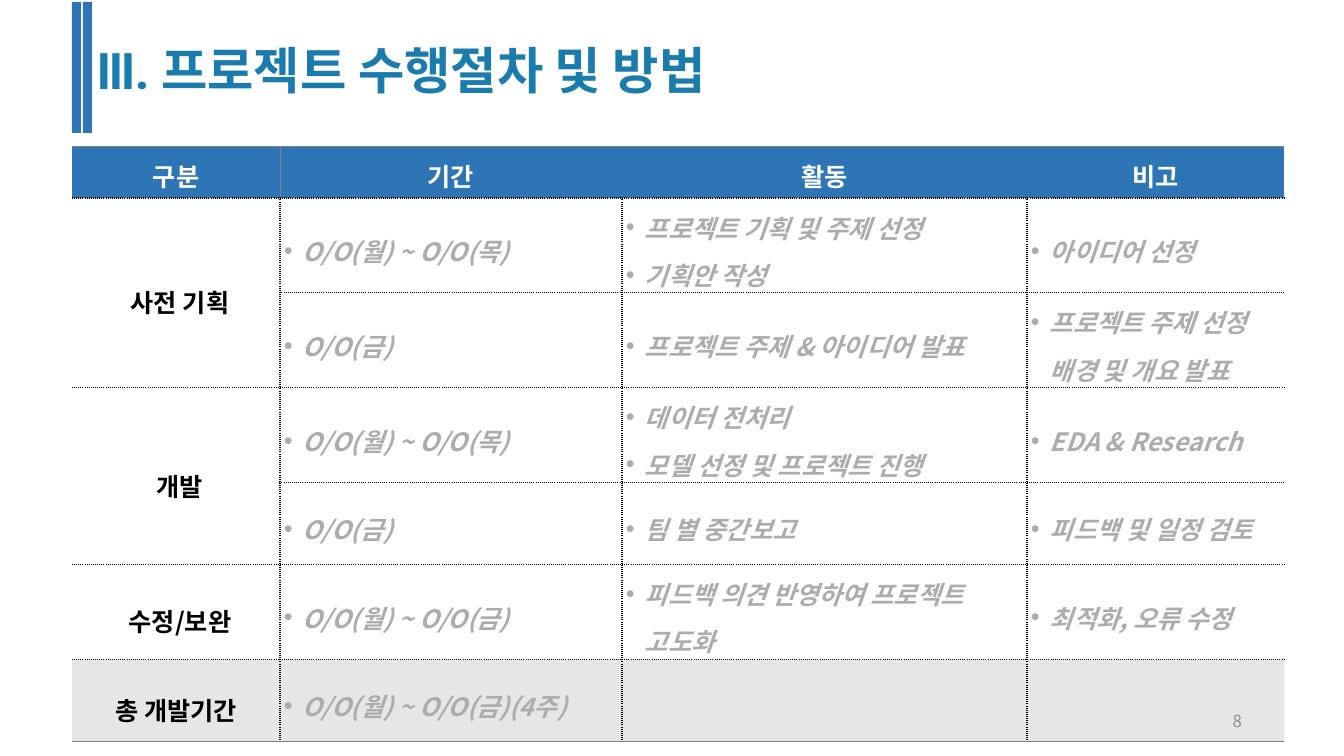
import dataclasses
import pptx
import pptx.util
import pptx.dml.color
import pptx.enum.shapes
import pptx.enum.text
import pptx.oxml.ns
import lxml.etree

ALIGN = pptx.enum.text.PP_ALIGN
ANCHOR = pptx.enum.text.MSO_ANCHOR


@dataclasses.dataclass(frozen=True)
class Theme:
    """Colours, fonts and type sizes of the slide."""
    blue: str = "2E75B6"
    title: str = "1A7BAE"
    white: str = "FFFFFF"
    black: str = "000000"
    sample: str = "AFABAB"
    total: str = "E7E6E6"
    rule: str = "808080"
    number: str = "8C8C8C"
    font: str = "Noto Sans CJK KR"
    title_font: str = "Roboto Condensed"
    title_size: int = 36
    table_size: int = 18
    number_size: int = 12


THEME = Theme()
HEADINGS = ["구분", "기간", "활동", "비고"]
STAGES = [
    ("사전 기획", [
        (["O/O(월) ~ O/O(목)"], ["프로젝트 기획 및 주제 선정", "기획안 작성"], ["아이디어 선정"]),
        (["O/O(금)"], ["프로젝트 주제 & 아이디어 발표"], ["프로젝트 주제 선정 배경 및 개요 발표"])]),
    ("개발", [
        (["O/O(월) ~ O/O(목)"], ["데이터 전처리", "모델 선정 및 프로젝트 진행"], ["EDA & Research"]),
        (["O/O(금)"], ["팀 별 중간보고"], ["피드백 및 일정 검토"])]),
    ("수정/보완", [
        (["O/O(월) ~ O/O(금)"], ["피드백 의견 반영하여 프로젝트 고도화"], ["최적화, 오류 수정"])]),
    ("총 개발기간", [(["O/O(월) ~ O/O(금)(4주)"], [], [])]),
]
COLUMNS = [208, 342, 405, 257]
HEADER_HEIGHT = 52
ROW_HEIGHT = 82


def px(length):
    """Turn pixels into EMU."""
    return pptx.util.Emu(round(length * 914400 / 100.8))


def color(value):
    """Turn a hex string into a colour."""
    return pptx.dml.color.RGBColor.from_string(value)


def child(parent, tag, **attributes):
    """Append a drawing element."""
    return lxml.etree.SubElement(parent, pptx.oxml.ns.qn("a:" + tag), attributes)


def add_span(para, text, size, shade, font=THEME.font, bold=True, italic=False):
    """Add one formatted run to a paragraph."""
    span = para.add_run()
    span.text = text
    span.font.size = pptx.util.Pt(size)
    span.font.bold = bold
    span.font.italic = italic
    span.font.color.rgb = color(shade)
    span.font.name = font
    child(span._r.get_or_add_rPr(), "ea", typeface=THEME.font)


def add_bars(page, box):
    """Draw two equal upright bars at the edges of the box."""
    left, top, width, height = box
    bar_width = 9
    group = page.shapes.add_group_shape()
    for x in (left, left + width - bar_width):
        bar = group.shapes.add_shape(pptx.enum.shapes.MSO_SHAPE.RECTANGLE,
                                     px(x), px(top), px(bar_width), px(height))
        bar.shadow.inherit = False
        bar.fill.solid()
        bar.fill.fore_color.rgb = color(THEME.blue)
        bar.line.fill.background()


def add_title(page, box):
    """Place the title placeholder in the box."""
    title = page.shapes.title
    title.left, title.top, title.width, title.height = map(px, box)
    frame = title.text_frame
    frame.auto_size = pptx.enum.text.MSO_AUTO_SIZE.NONE
    frame.word_wrap = True
    frame.vertical_anchor = ANCHOR.TOP
    para = frame.paragraphs[0]
    para.alignment = ALIGN.LEFT
    add_span(para, "Ⅲ. 프로젝트 수행절차 및 방법", THEME.title_size, THEME.title, THEME.title_font)


def add_border(cell, side, kind):
    """Give one side of a cell a dotted, thin or empty line."""
    width = {"dotted": 1, "thin": 0.5, "none": 0}[kind]
    line = child(cell._tc.get_or_add_tcPr(), "ln" + side, w=str(pptx.util.Pt(width)))
    if kind == "none":
        child(line, "noFill")
        return
    shade = THEME.black if kind == "dotted" else THEME.rule
    child(child(line, "solidFill"), "srgbClr", val=shade)
    child(line, "prstDash", val="sysDot" if kind == "dotted" else "solid")


def upright_border(row, edge):
    """Name the line kind of a vertical edge in a row."""
    if edge in (0, len(COLUMNS)):
        return "none"
    if row == 0:
        return "thin" if edge == 1 else "none"
    return "dotted"


def style_cell(cell, row, column, last_row):
    """Set the borders, fill, anchor and margins of a cell."""
    add_border(cell, "L", upright_border(row, column))
    add_border(cell, "R", upright_border(row, column + 1))
    add_border(cell, "T", "thin" if row == 0 else "dotted")
    add_border(cell, "B", "thin" if row == last_row else "dotted")
    fill = {0: THEME.blue, last_row: THEME.total}.get(row)
    if fill:
        cell.fill.solid()
        cell.fill.fore_color.rgb = color(fill)
    else:
        cell.fill.background()
    cell.vertical_anchor = ANCHOR.MIDDLE
    cell.margin_top = cell.margin_right = cell.margin_bottom = 0
    inset = 4 if column else 8
    cell.margin_left = px(0 if row == 0 or (row == last_row and not column) else inset)


def write_label(cell, text, shade, spacing):
    """Write a centred label in a cell."""
    para = cell.text_frame.paragraphs[0]
    para.alignment = ALIGN.CENTER
    para.line_spacing = spacing
    add_span(para, text, THEME.table_size, shade)


def write_list(cell, items):
    """Write bulleted items in a cell."""
    frame = cell.text_frame
    for index, item in enumerate(items):
        para = frame.add_paragraph() if index else frame.paragraphs[0]
        para.line_spacing = 1.3
        properties = para._p.get_or_add_pPr()
        properties.set("marL", str(px(19)))
        properties.set("indent", str(-px(19)))
        child(properties, "buFont", typeface="Arial")
        child(properties, "buChar", char="•")
        add_span(para, item, THEME.table_size, THEME.sample, italic=True)


def add_schedule(page, box):
    """Build the schedule table in the box."""
    last_row = sum(len(steps) for _, steps in STAGES)
    table = page.shapes.add_table(last_row + 1, len(COLUMNS), *map(px, box)).table
    table.first_row = table.horz_banding = False
    for column, width in zip(table.columns, COLUMNS):
        column.width = px(width)
    for index, row in enumerate(table.rows):
        row.height = px(ROW_HEIGHT if index else HEADER_HEIGHT)
        for column, cell in enumerate(row.cells):
            style_cell(cell, index, column, last_row)
    for column, heading in enumerate(HEADINGS):
        write_label(table.cell(0, column), heading, THEME.white, 1.2)
    row = 1
    for stage, steps in STAGES:
        label = table.cell(row, 0)
        if len(steps) > 1:
            label.merge(table.cell(row + len(steps) - 1, 0))
        write_label(label, stage, THEME.black, 1.5)
        for step in steps:
            for column, items in enumerate(step, 1):
                write_list(table.cell(row, column), items)
            row += 1


def add_number(page, box):
    """Write the page number at the right of the box."""
    frame = page.shapes.add_textbox(*map(px, box)).text_frame
    frame.word_wrap = True
    frame.vertical_anchor = ANCHOR.MIDDLE
    para = frame.paragraphs[0]
    para.alignment = ALIGN.RIGHT
    add_span(para, "8", THEME.number_size, THEME.number, bold=False)


deck = pptx.Presentation()
deck.slide_width, deck.slide_height = px(1344), px(756)
page = deck.slides.add_slide(deck.slide_layouts.get_by_name("Title Only"))
add_bars(page, (72, 2, 20, 131))
add_schedule(page, (72, 146, sum(COLUMNS), 544))
add_title(page, (87, 34, 750, 72))
add_number(page, (950, 701, 302, 40))
deck.save("out.pptx")
